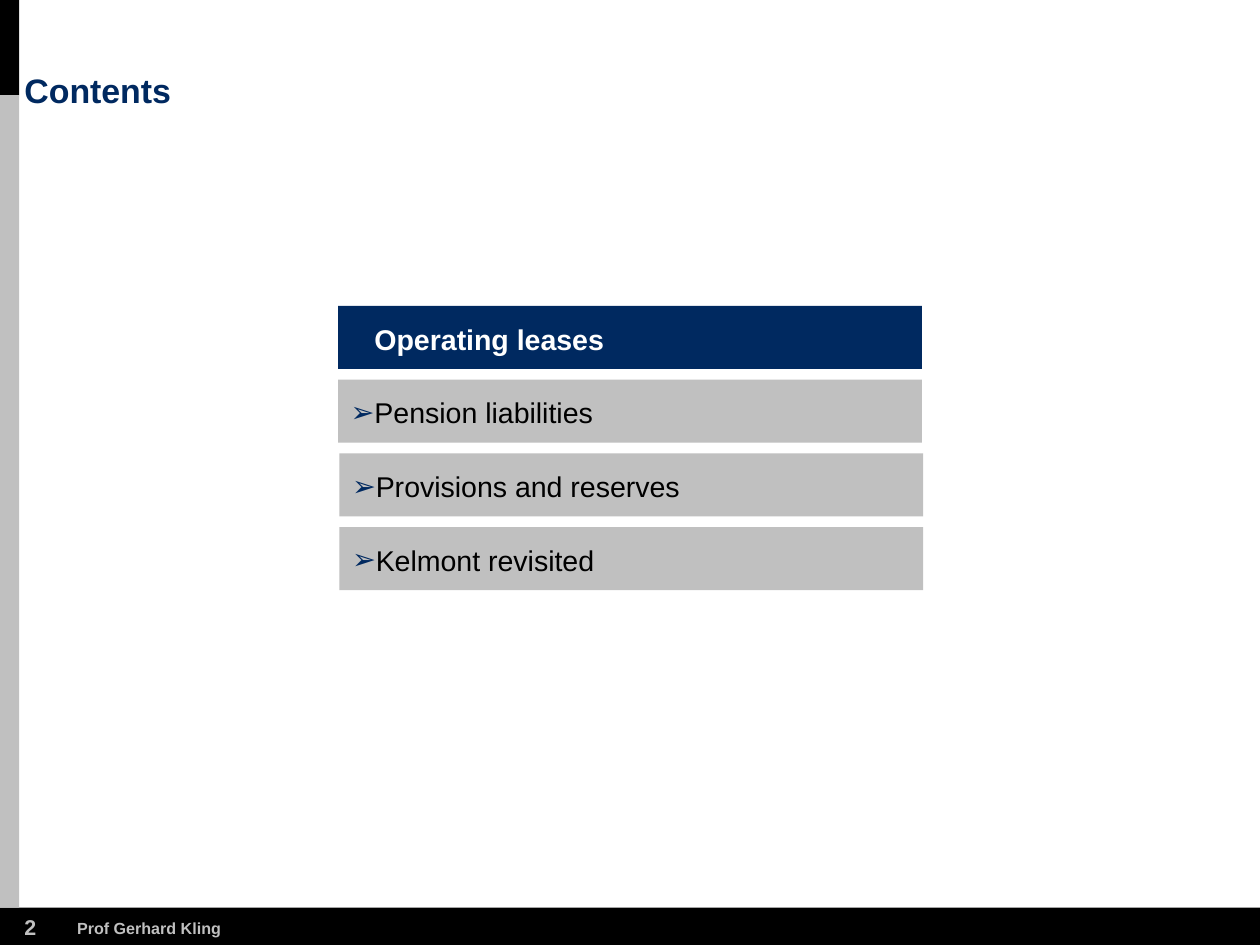
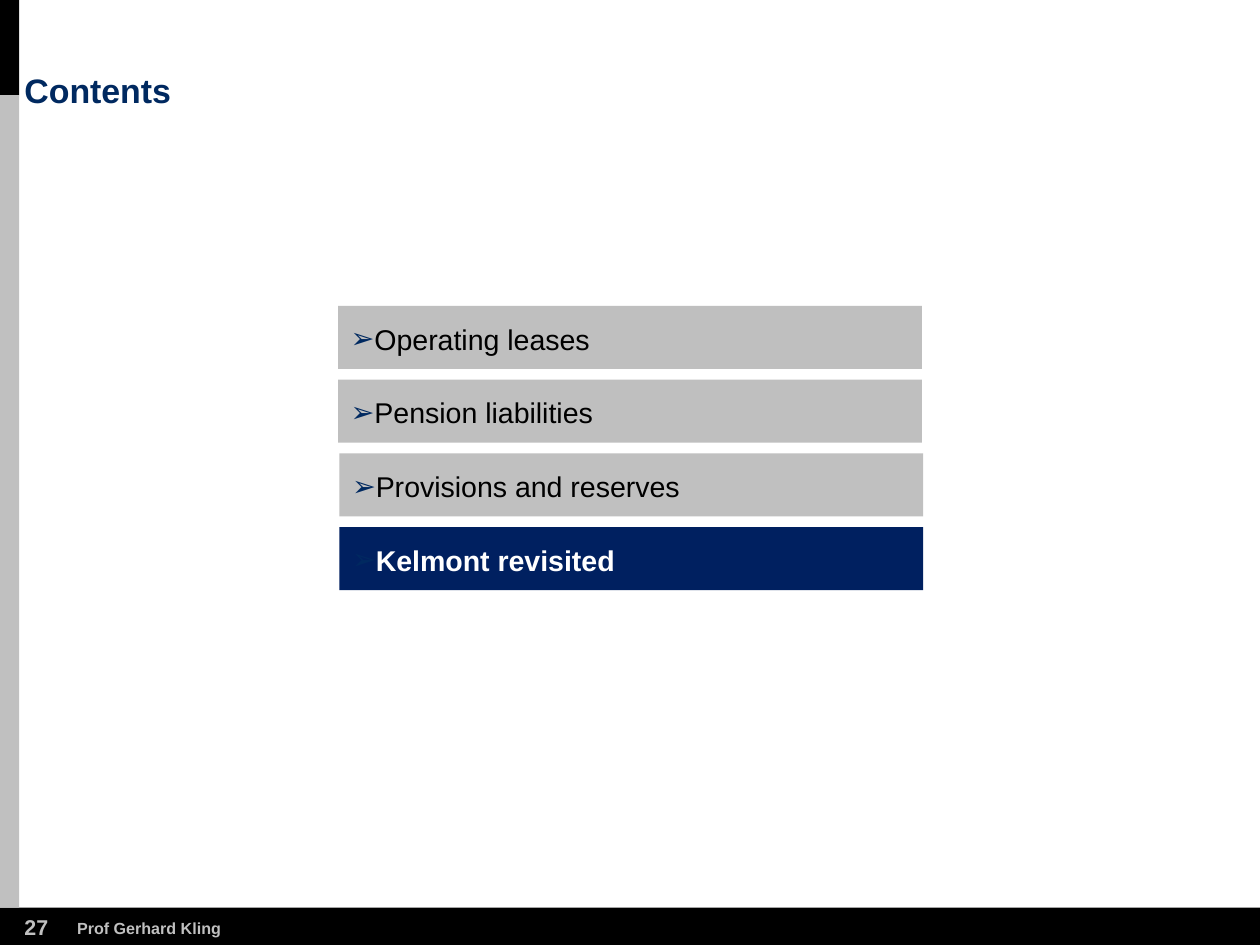
from lxml import etree
from pptx import Presentation
from pptx.dml.color import RGBColor
from pptx.enum.shapes import MSO_SHAPE
from pptx.enum.text import MSO_ANCHOR, PP_ALIGN
from pptx.oxml.ns import qn
from pptx.util import Inches, Pt

RECT = MSO_SHAPE.RECTANGLE
TOP, MIDDLE, BOTTOM = MSO_ANCHOR.TOP, MSO_ANCHOR.MIDDLE, MSO_ANCHOR.BOTTOM
LEFT = PP_ALIGN.LEFT

FONT = "Arial"
COLORS = {
    "white": "FFFFFF",
    "black": "000000",
    "navy": "002960",
    "deep_navy": "002060",
    "silver": "C0C0C0",
    "gray": "BFBFBF",
}
SLIDE_W, SLIDE_H = 9.8, 7.35
RAIL_W, RAIL_SPLIT, FOOTER_TOP = 0.15, 0.74, 7.06
AGENDA_BOX = (2.63, 2.38, 4.54, 2.21)
BAR_H = 0.49

TOPICS = [
    "Operating leases",
    "Pension liabilities",
    "Provisions and reserves",
    "Kelmont revisited",
]
AGENDAS = [
    {"page": "2", "current": 0, "fills": ["navy", "silver", "silver", "silver"]},
    {"page": "27", "current": 3, "fills": ["gray", "gray", "silver", "deep_navy"]},
]


def rgb(name):
    return RGBColor.from_string(COLORS[name])


def add_rect(s, box, fill):
    sp = s.shapes.add_shape(RECT, *map(Inches, box))
    sp.shadow.inherit = False
    sp.fill.solid()
    sp.fill.fore_color.rgb = rgb(fill)
    sp.line.fill.background()
    return sp


def write(sp, text, size, color, bold=True, anchor=TOP, insets=(0, 0, 0, 0), wrap=False):
    tf = sp.text_frame
    tf.word_wrap = wrap
    tf.vertical_anchor = anchor
    tf.margin_left, tf.margin_top, tf.margin_right, tf.margin_bottom = map(Inches, insets)
    p = tf.paragraphs[0]
    p.alignment = LEFT
    r = p.add_run()
    r.text = text
    r.font.name = FONT
    r.font.size = Pt(size)
    r.font.bold = bold
    r.font.color.rgb = rgb(color)
    return p


def add_text(s, box, text, size, color, **style):
    return write(s.shapes.add_textbox(*map(Inches, box)), text, size, color, **style)


def add_bullet(p, char, color, indent):
    pPr = p._p.get_or_add_pPr()
    pPr.set("marL", str(Inches(indent)))
    pPr.set("indent", str(-Inches(indent)))
    buClr = etree.SubElement(pPr, qn("a:buClr"))
    etree.SubElement(buClr, qn("a:srgbClr"), val=COLORS[color])
    etree.SubElement(pPr, qn("a:buFont"), typeface=FONT)
    etree.SubElement(pPr, qn("a:buChar"), char=char)


def add_frame(s, title, page):
    add_rect(s, (0, FOOTER_TOP, SLIDE_W, SLIDE_H - FOOTER_TOP), "black")
    add_rect(s, (0, 0, RAIL_W, RAIL_SPLIT), "black")
    add_rect(s, (0, RAIL_SPLIT, RAIL_W, FOOTER_TOP - RAIL_SPLIT), "silver")
    add_text(s, (0.19, FOOTER_TOP + 0.05, 0.2, 0.2), page, 12, "silver")
    add_text(s, (0.6, FOOTER_TOP + 0.08, 1.13, 0.15), "Prof Gerhard Kling", 9, "silver")
    p = add_text(s, (0.19, 0.58, 7.76, 0.28), title, 19, "navy", anchor=BOTTOM, wrap=True)
    p.line_spacing = 0.9


def add_agenda(s, box, fills, current):
    left, top, width, height = box
    pitch = (height - BAR_H) / (len(TOPICS) - 1)
    for i, (topic, fill) in enumerate(zip(TOPICS, fills)):
        nudge = 0.01 * (i // 2)
        bar = add_rect(s, (left + nudge, top + i * pitch, width, BAR_H), fill)
        active = i == current
        p = write(bar, topic, 16, "white" if active else "black", bold=active,
                  anchor=MIDDLE, insets=(0.1, 0.02, 0, 0))
        add_bullet(p, "➢", "navy", 0.16)


def main():
    prs = Presentation()
    prs.slide_width, prs.slide_height = Inches(SLIDE_W), Inches(SLIDE_H)
    for agenda in AGENDAS:
        s = prs.slides.add_slide(prs.slide_layouts[6])
        add_frame(s, "Contents", agenda["page"])
        add_agenda(s, AGENDA_BOX, agenda["fills"], agenda["current"])
    prs.save("out.pptx")


if __name__ == "__main__":
    main()
